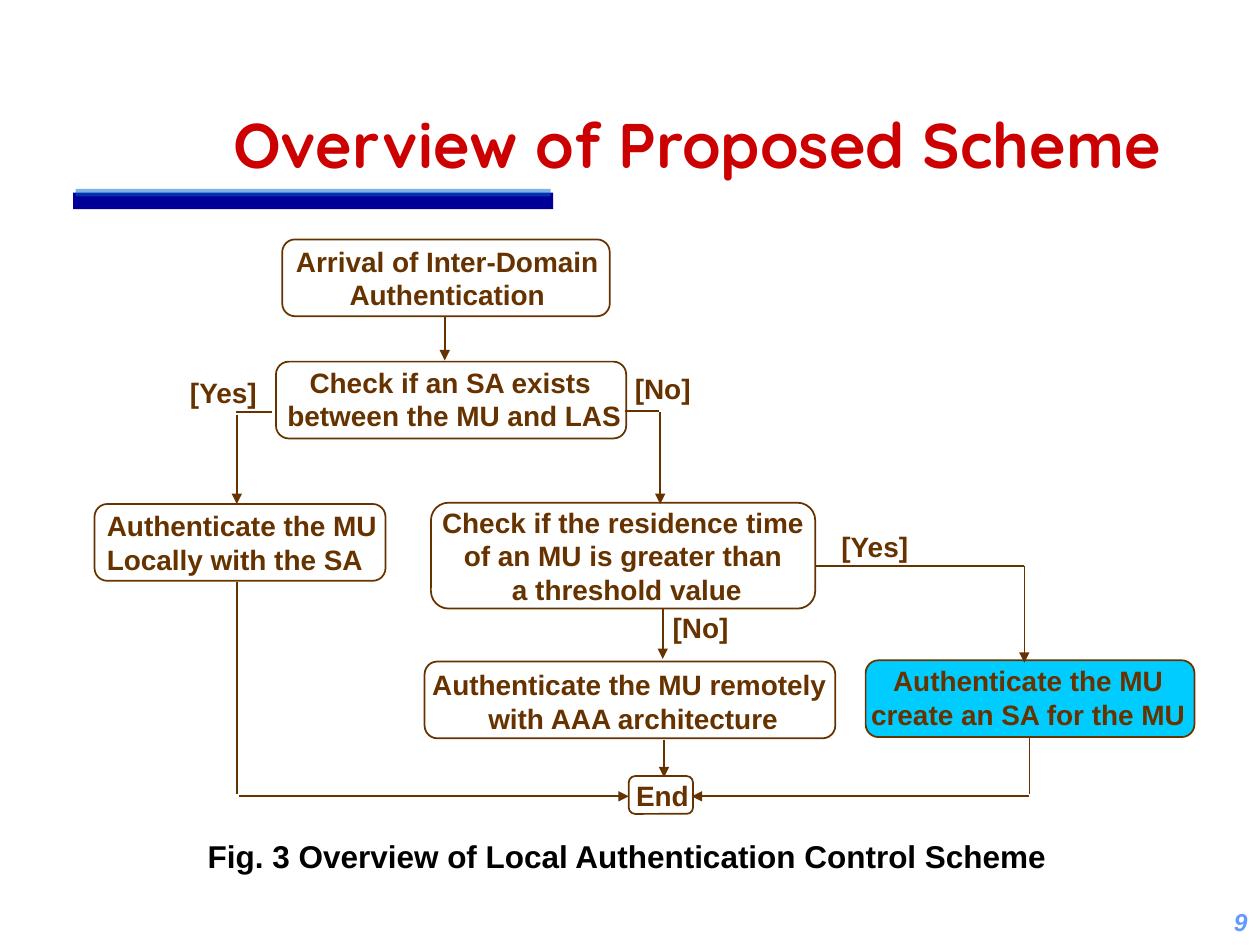
from typing import NamedTuple, Optional

import pptx
import pptx.dml.color
import pptx.enum.shapes
import pptx.enum.text
import pptx.oxml
import pptx.oxml.ns
import pptx.util

Inches = pptx.util.Inches
Pt = pptx.util.Pt
RGBColor = pptx.dml.color.RGBColor
SHAPE = pptx.enum.shapes.MSO_SHAPE
ALIGN = pptx.enum.text.PP_ALIGN
ANCHOR = pptx.enum.text.MSO_ANCHOR
AUTO_SIZE = pptx.enum.text.MSO_AUTO_SIZE

BROWN = RGBColor(0x66, 0x33, 0x00)
RED = RGBColor(0xCC, 0x00, 0x00)
NAVY = RGBColor(0x00, 0x00, 0x99)
BLUE = RGBColor(0x00, 0x66, 0xCC)
CYAN = RGBColor(0x00, 0xCC, 0xFF)
PALE_BLUE = RGBColor(0x66, 0x99, 0xFF)
BLACK = RGBColor(0x00, 0x00, 0x00)


class Rect(NamedTuple):
    left: float
    top: float
    width: float
    height: float


class Label(NamedTuple):
    rect: Rect
    lines: list[str]
    align: ALIGN = ALIGN.LEFT
    size: int = 16
    color: RGBColor = BROWN


class Step(NamedTuple):
    box: Rect
    label: Label
    fill: Optional[RGBColor] = None


class Link(NamedTuple):
    x1: float
    y1: float
    x2: float
    y2: float
    arrow: bool = False


STEPS = [
    Step(Rect(2.24, 1.9, 2.6, 0.61),
         Label(Rect(2.22, 1.89, 2.66, 0.64),
               ["Arrival of Inter-Domain ", "Authentication"], ALIGN.CENTER)),
    Step(Rect(2.19, 2.87, 2.78, 0.61),
         Label(Rect(2.18, 2.85, 2.85, 0.64),
               ["Check if an SA exists ", "between the MU and LAS"], ALIGN.CENTER)),
    Step(Rect(0.75, 4, 2.31, 0.61),
         Label(Rect(0.75, 3.99, 2.34, 0.64),
               ["Authenticate the MU", "Locally with the SA"])),
    Step(Rect(3.42, 3.99, 3.05, 0.84),
         Label(Rect(3.41, 3.96, 3.13, 0.9),
               ["Check if the residence time ", "of an MU is greater than ",
                "a threshold value"], ALIGN.CENTER)),
    Step(Rect(3.37, 5.25, 3.26, 0.61),
         Label(Rect(3.33, 5.25, 3.39, 0.64),
               ["Authenticate the MU remotely ", "with AAA architecture"], ALIGN.CENTER)),
    Step(Rect(6.87, 5.24, 2.61, 0.61),
         Label(Rect(6.81, 5.22, 2.7, 0.64),
               ["Authenticate the MU", "create an SA for the MU"], ALIGN.CENTER), CYAN),
    Step(Rect(4.99, 6.16, 0.51, 0.3), Label(Rect(4.95, 6.13, 0.62, 0.37), ["End"])),
]

LINKS = [
    Link(3.53, 2.51, 3.53, 2.86, True),
    Link(2.16, 3.27, 1.87, 3.27),
    Link(1.88, 3.29, 1.88, 4, True),
    Link(4.96, 3.26, 5.23, 3.26),
    Link(5.24, 3.27, 5.24, 4, True),
    Link(5.26, 4.83, 5.26, 5.23, True),
    Link(6.47, 4.49, 8.13, 4.49),
    Link(8.13, 4.49, 8.13, 5.26, True),
    Link(5.27, 5.87, 5.27, 6.17, True),
    Link(8.17, 5.86, 8.17, 6.3),
    Link(8.17, 6.32, 5.49, 6.32, True),
    Link(1.88, 4.62, 1.88, 6.3),
    Link(1.9, 6.32, 4.99, 6.32, True),
]

LABELS = [
    Label(Rect(1.41, 2.93, 0.74, 0.37), ["[Yes]"]),
    Label(Rect(6.58, 4.15, 0.74, 0.37), ["[Yes]"]),
    Label(Rect(4.94, 2.9, 0.64, 0.37), ["[No]"]),
    Label(Rect(5.24, 4.8, 0.64, 0.37), ["[No]"]),
    Label(Rect(1.55, 6.59, 6.87, 0.4),
          ["Fig. 3 Overview of Local Authentication Control Scheme"], size=18, color=BLACK),
]


def add_shape(slide, kind: SHAPE, rect: Rect, fill: Optional[RGBColor] = None,
              line: Optional[RGBColor] = None):
    sp = slide.shapes.add_shape(kind, *map(Inches, rect))
    sp.shadow.inherit = False
    if fill is None:
        sp.fill.background()
    else:
        sp.fill.solid()
        sp.fill.fore_color.rgb = fill
    if line is None:
        sp.line.fill.background()
    else:
        sp.line.color.rgb = line
        sp.line.width = Pt(1)
    return sp


def set_transparency(sp, opacity: int) -> None:
    """Set the opacity of a solid fill, in percent."""
    color = sp.fill._xPr.find(".//" + pptx.oxml.ns.qn("a:srgbClr"))
    alpha = pptx.oxml.parse_xml(
        f'<a:alpha {pptx.oxml.ns.nsdecls("a")} val="{opacity * 1000}"/>')
    color.append(alpha)


def add_label(slide, label: Label):
    sp = slide.shapes.add_textbox(*map(Inches, label.rect))
    tf = sp.text_frame
    tf.word_wrap = False
    tf.auto_size = AUTO_SIZE.SHAPE_TO_FIT_TEXT
    tf.text = "\n".join(label.lines)
    for p in tf.paragraphs:
        p.alignment = label.align
        set_font(p, "Arial", label.size, label.color)
    return sp


def set_font(p, name: str, size: int, color: RGBColor) -> None:
    p.font.name = name
    p.font.size = Pt(size)
    p.font.bold = True
    p.font.color.rgb = color


def add_step(slide, step: Step) -> None:
    add_shape(slide, SHAPE.ROUNDED_RECTANGLE, step.box, step.fill, BROWN)
    add_label(slide, step.label)


def add_link(slide, link: Link) -> None:
    ends = map(Inches, (link.x1, link.y1, link.x2, link.y2))
    cxn = slide.shapes.add_connector(pptx.enum.shapes.MSO_CONNECTOR.STRAIGHT, *ends)
    cxn.line.color.rgb = BROWN
    cxn.line.width = Pt(1)
    ns = pptx.oxml.ns.nsdecls("a")
    if link.arrow:
        cxn.line._get_or_add_ln().append(
            pptx.oxml.parse_xml(f'<a:tailEnd {ns} type="triangle"/>'))
    cxn._element.spPr.append(pptx.oxml.parse_xml(f"<a:effectLst {ns}/>"))


def add_title(slide, text: str, rect: Rect) -> None:
    sp = slide.shapes.title
    sp.left, sp.top, sp.width, sp.height = map(Inches, rect)
    tf = sp.text_frame
    tf.text = text
    tf.word_wrap = True
    tf.auto_size = AUTO_SIZE.NONE
    tf.vertical_anchor = ANCHOR.BOTTOM
    p = tf.paragraphs[0]
    p.alignment = ALIGN.LEFT
    set_font(p, "Quicksand", 36, RED)


def add_page_number(slide, number: str) -> None:
    sp = add_label(slide, Label(Rect(9.33, 7.13, 0.67, 0.37), [number],
                                ALIGN.RIGHT, 14, PALE_BLUE))
    tf = sp.text_frame
    tf.word_wrap = True
    tf.auto_size = AUTO_SIZE.NONE
    tf.vertical_anchor = ANCHOR.MIDDLE
    tf.paragraphs[0].font.italic = True


def main() -> None:
    prs = pptx.Presentation()
    prs.slide_width, prs.slide_height = Inches(10), Inches(7.5)
    slide = prs.slides.add_slide(prs.slide_layouts.get_by_name("Title Only"))

    add_shape(slide, SHAPE.RECTANGLE, Rect(0.58, 1.53, 3.81, 0.13), NAVY)
    highlight = add_shape(slide, SHAPE.RECTANGLE, Rect(0.6, 1.5, 3.77, 0.06), BLUE)
    set_transparency(highlight, 50)
    add_title(slide, "Overview of Proposed Scheme", Rect(1.75, 0.41, 7.58, 1.08))
    for step in STEPS:
        add_step(slide, step)
    for link in LINKS:
        add_link(slide, link)
    for label in LABELS:
        add_label(slide, label)
    add_page_number(slide, "9")
    prs.save("out.pptx")


if __name__ == "__main__":
    main()
